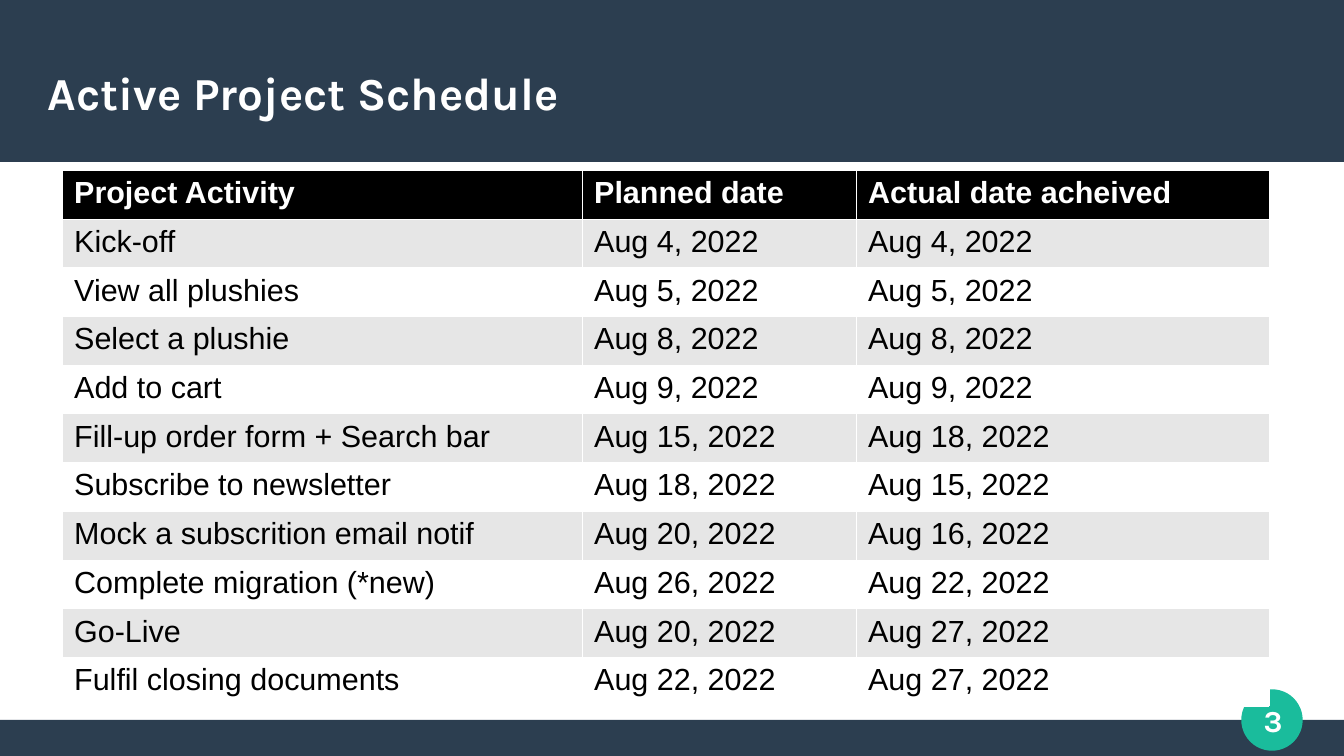
from lxml.etree import SubElement
from pptx import Presentation
from pptx.dml.color import RGBColor
from pptx.enum.shapes import MSO_SHAPE
from pptx.enum.text import MSO_ANCHOR, MSO_AUTO_SIZE, PP_ALIGN
from pptx.oxml.ns import qn
from pptx.util import Pt

HEAD = "Active Project Schedule"
PAGE = "3"
ROWS = [
    ("Project Activity", "Planned date", "Actual date acheived"),
    ("Kick-off", "Aug 4, 2022", "Aug 4, 2022"),
    ("View all plushies", "Aug 5, 2022", "Aug 5, 2022"),
    ("Select a plushie", "Aug 8, 2022", "Aug 8, 2022"),
    ("Add to cart", "Aug 9, 2022", "Aug 9, 2022"),
    ("Fill-up order form + Search bar", "Aug 15, 2022", "Aug 18, 2022"),
    ("Subscribe to newsletter", "Aug 18, 2022", "Aug 15, 2022"),
    ("Mock a subscrition email notif", "Aug 20, 2022", "Aug 16, 2022"),
    ("Complete migration (*new)", "Aug 26, 2022", "Aug 22, 2022"),
    ("Go-Live", "Aug 20, 2022", "Aug 27, 2022"),
    ("Fulfil closing documents", "Aug 22, 2022", "Aug 27, 2022"),
]
COLS = [520, 274, 413]
WIDE, HIGH = 1344, 756
NAVY, TEAL, WHITE, BLACK, GREY = "2C3E50", "1ABC9C", "FFFFFF", "000000", "E6E6E6"
SHAPES = [
    (MSO_SHAPE.RECTANGLE, (0, 720, WIDE, 36), NAVY),
    (MSO_SHAPE.RECTANGLE, (0, 0, WIDE, 162), NAVY),
    (MSO_SHAPE.OVAL, (1242, 690, 60, 60), TEAL),
]


def px(n):
    return round(n * 914400 / 122)


def paint(fill, tone):
    fill.solid()
    fill.fore_color.rgb = RGBColor.from_string(tone)


def write(para, text, size, face, tone, bold):
    run = para.add_run()
    run.text = text
    font = run.font
    font.size, font.name, font.bold = Pt(size), face, bold
    paint(font.fill, tone)


def frame(box):
    text = box.text_frame
    text.word_wrap = True
    text.auto_size = MSO_AUTO_SIZE.NONE
    text.vertical_anchor = MSO_ANCHOR.MIDDLE
    text.margin_left = text.margin_right = text.margin_top = text.margin_bottom = 0
    return text.paragraphs[0]


def border(cell):
    props = cell._tc.get_or_add_tcPr()
    for spot, side in enumerate(("lnL", "lnR", "lnT", "lnB")):
        line = SubElement(props, qn("a:" + side), w="762")
        fill = SubElement(line, qn("a:solidFill"))
        SubElement(fill, qn("a:srgbClr"), val=WHITE)
        props.insert(spot, line)


deck = Presentation()
deck.slide_width, deck.slide_height = px(WIDE), px(HIGH)
slide = deck.slides.add_slide(deck.slide_layouts[5])
paint(slide.background.fill, WHITE)

for kind, area, tone in SHAPES:
    shape = slide.shapes.add_shape(kind, *map(px, area))
    shape.shadow.inherit = False
    paint(shape.fill, tone)
    if kind == MSO_SHAPE.OVAL:
        paint(shape.line.fill, tone)
        shape.line.width = Pt(0.85)
    else:
        shape.line.fill.background()

para = frame(slide.shapes.add_textbox(*map(px, (1225, 684, 96, 72))))
para.alignment = PP_ALIGN.CENTER
write(para, PAGE, 18, "Karla", WHITE, True)

title = slide.shapes.title
title.left, title.top, title.width, title.height = map(px, (48, 30, 1249, 96))
slide.shapes._spTree.append(title._element)
para = frame(title)
para.alignment = PP_ALIGN.LEFT
para.line_spacing = 1.5
write(para, HEAD, 27, "Karla", WHITE, True)

area = map(px, (62, 170, sum(COLS), 536))
table = slide.shapes.add_table(len(ROWS), len(COLS), *area).table
for col, width in zip(table.columns, COLS):
    col.width = px(width)
for r, row in enumerate(ROWS):
    back = BLACK if r == 0 else GREY if r % 2 else WHITE
    for c, text in enumerate(row):
        cell = table.cell(r, c)
        paint(cell.fill, back)
        border(cell)
        tone = BLACK if r else WHITE
        write(cell.text_frame.paragraphs[0], text, 18, "Arial", tone, r == 0)

deck.save("out.pptx")
